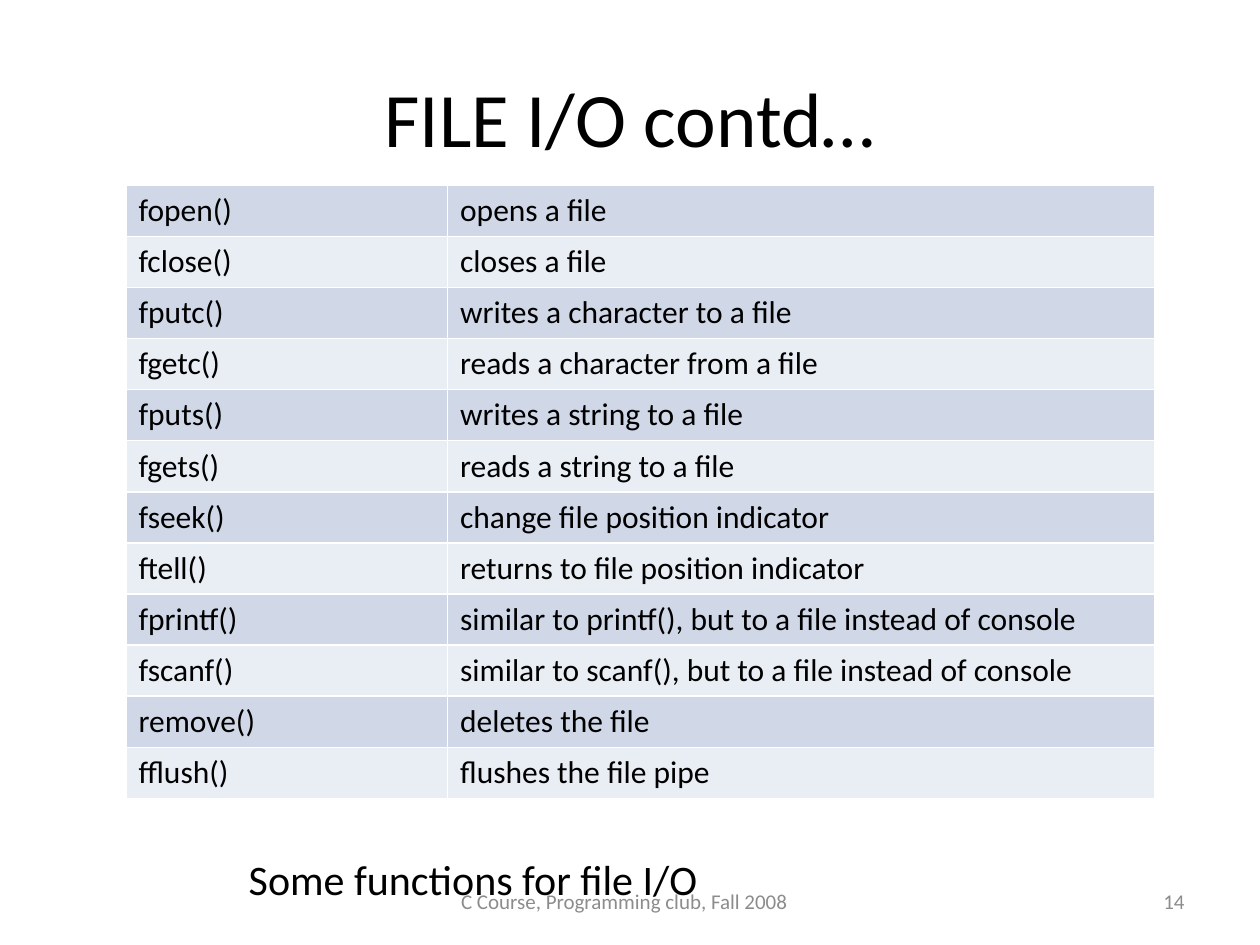
from dataclasses import dataclass

from lxml.etree import SubElement
from pptx import Presentation
from pptx.dml.color import RGBColor
from pptx.enum.text import MSO_ANCHOR as Anchor, PP_ALIGN as Align
from pptx.oxml.ns import qn
from pptx.util import Inches, Pt


@dataclass(frozen=True)
class Theme:
    """Colours, font and type sizes of the deck."""
    font: str = "Calibri"
    ink: str = "000000"
    muted: str = "8C8C8C"
    bands: tuple = ("D0D8E8", "E9EDF4")
    border: str = "FFFFFF"
    title: int = 44
    caption: int = 24
    body: int = 18
    small: int = 12


@dataclass(frozen=True)
class Box:
    """A region given in percent of the slide's width and height."""
    left: float
    top: float
    width: float
    height: float

    def place(self):
        """Return left, top, width and height as lengths."""
        return (int(WIDTH * self.left / 100), int(HEIGHT * self.top / 100),
                int(WIDTH * self.width / 100), int(HEIGHT * self.height / 100))


THEME = Theme()
WIDTH, HEIGHT = Inches(10), Inches(7.5)
FUNCTIONS = [
    ("fopen()", "opens a file"),
    ("fclose()", "closes a file"),
    ("fputc()", "writes a character to a file"),
    ("fgetc()", "reads a character from a file"),
    ("fputs()", "writes a string to a file"),
    ("fgets()", "reads a string to a file"),
    ("fseek()", "change file position indicator"),
    ("ftell()", "returns to file position indicator"),
    ("fprintf()", "similar to printf(), but to a file instead of console"),
    ("fscanf()", "similar to scanf(), but to a file instead of console"),
    ("remove()", "deletes the file"),
    ("fflush()", "flushes the file pipe"),
]


def write(frame, text, size=THEME.body, color=THEME.ink, align=Align.LEFT):
    """Write one formatted paragraph into a text frame."""
    frame.word_wrap = True
    para = frame.paragraphs[0]
    para.alignment = align
    span = para.add_run()
    span.text = text
    span.font.name = THEME.font
    span.font.size = Pt(size)
    span.font.color.rgb = RGBColor.from_string(color)


def add_text(page, box, text, **style):
    """Add a vertically centred text box."""
    frame = page.shapes.add_textbox(*box.place()).text_frame
    frame.vertical_anchor = Anchor.MIDDLE
    write(frame, text, **style)


def add_borders(cell, color):
    """Draw a one point line on every side of a cell."""
    props = cell._tc.get_or_add_tcPr()
    for index, side in enumerate(("a:lnL", "a:lnR", "a:lnT", "a:lnB")):
        line = props.makeelement(qn(side), {"w": str(Pt(1))})
        fill = SubElement(line, qn("a:solidFill"))
        SubElement(fill, qn("a:srgbClr"), val=color)
        props.insert(index, line)


def add_function_table(page, box, rows, shares):
    """Add a banded table that fills its box."""
    left, top, width, height = box.place()
    table = page.shapes.add_table(
        len(rows), len(shares), left, top, width, height).table
    table.first_row = False
    for column, share in zip(table.columns, shares):
        column.width = int(width * share / sum(shares))
    for index, texts in enumerate(rows):
        table.rows[index].height = height // len(rows)
        for cell, text in zip(table.rows[index].cells, texts):
            write(cell.text_frame, text)
            cell.fill.solid()
            cell.fill.fore_color.rgb = RGBColor.from_string(
                THEME.bands[index % len(THEME.bands)])
            add_borders(cell, THEME.border)


def add_footer(page, box, text, number):
    """Add the centred footer text and the page number at the right."""
    style = {"size": THEME.small, "color": THEME.muted}
    middle = Box(box.left + box.width * 0.32, box.top,
                 box.width * 0.35, box.height)
    right = Box(box.left + box.width * 0.74, box.top,
                box.width * 0.26, box.height)
    add_text(page, right, number, align=Align.RIGHT, **style)
    add_text(page, middle, text, align=Align.CENTER, **style)


def build_slide(deck):
    """Build the slide of file functions."""
    page = deck.slides.add_slide(deck.slide_layouts[6])
    add_text(page, Box(5, 4, 90, 16.67), "FILE I/O contd…",
             size=THEME.title, align=Align.CENTER)
    add_text(page, Box(18.76, 89.6, 60, 6.67), "Some functions for file I/O",
             size=THEME.caption)
    add_function_table(page, Box(10, 19.6, 81.67, 64.93), FUNCTIONS,
                       (2.55, 5.61))
    add_footer(page, Box(5, 92.67, 90, 5.33),
               "C Course, Programming club, Fall 2008", "14")


deck = Presentation()
deck.slide_width, deck.slide_height = WIDTH, HEIGHT
build_slide(deck)
deck.save("out.pptx")
